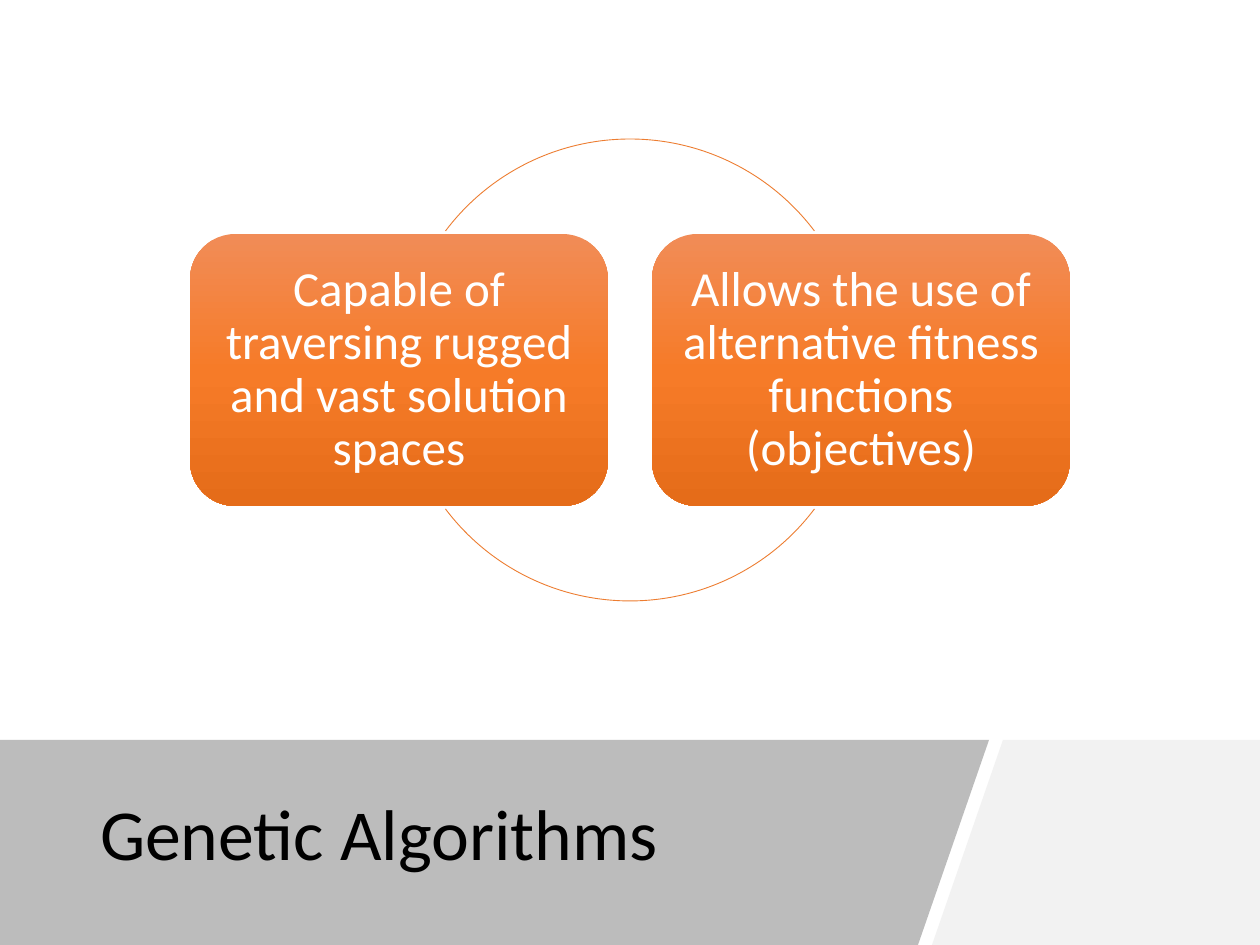
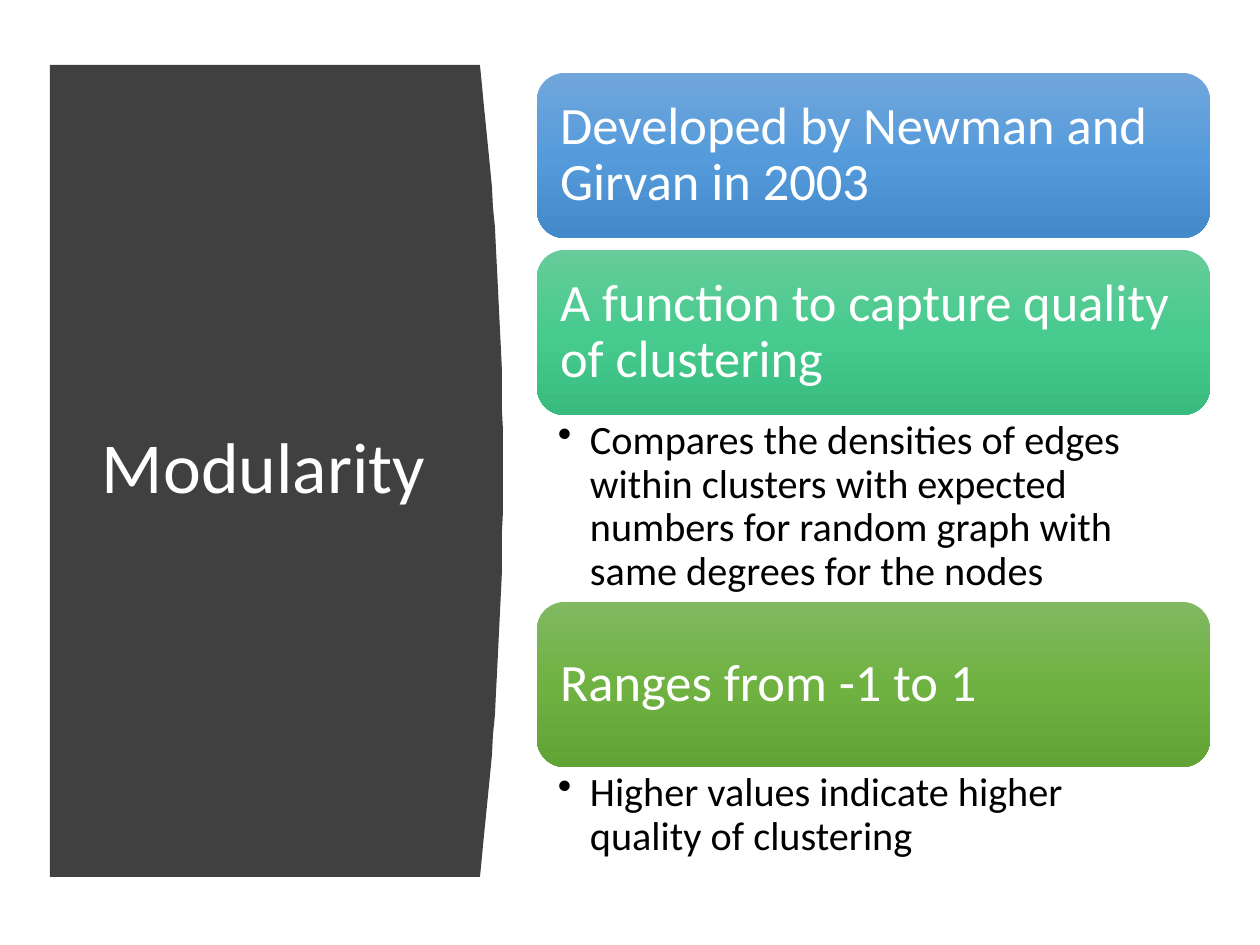
import copy

import lxml.etree
import pptx
import pptx.dml.color
import pptx.enum.shapes
import pptx.enum.text
import pptx.oxml.ns
import pptx.util

PIXEL = 914400 / 126
FONT = "Calibri"
COLORS = {
    "black": "000000",
    "white": "FFFFFF",
    "band": "595959",
    "corner": "F2F2F2",
    "panel": "404040",
    "ring": "ED7D31",
}
GRADIENTS = {
    "orange": ("F18C57", "F67B28", "E56C19"),
    "blue": ("71A6DB", "559BDB", "448ACA"),
    "teal": ("67CC9A", "47CB8E", "39BB7F"),
    "green": ("81B861", "6FB242", "62A336"),
}
ALIGN = pptx.enum.text.PP_ALIGN
ANCHOR = pptx.enum.text.MSO_ANCHOR
SHAPE = pptx.enum.shapes.MSO_SHAPE
qn = pptx.oxml.ns.qn


def emu(pixels):
    return round(pixels * PIXEL)


def rgb(value):
    return pptx.dml.color.RGBColor.from_string(value)


def set_attributes(target, values):
    for name, value in values.items():
        setattr(target, name, value)


def write_text(box, text, size, color, align=ALIGN.LEFT, anchor=ANCHOR.MIDDLE,
               insets=(13, 6, 13, 6)):
    frame = box.text_frame
    left, top, right, bottom = map(emu, insets)
    set_attributes(frame, {
        "word_wrap": True,
        "auto_size": pptx.enum.text.MSO_AUTO_SIZE.NONE,
        "vertical_anchor": anchor,
        "margin_left": left,
        "margin_top": top,
        "margin_right": right,
        "margin_bottom": bottom,
    })
    para = frame.paragraphs[0]
    set_attributes(para, {"alignment": align, "line_spacing": 0.9})
    span = para.add_run()
    span.text = text
    set_attributes(span.font, {"name": FONT, "size": pptx.util.Pt(size)})
    span.font.color.rgb = rgb(COLORS[color])
    return para


def add_page(deck):
    return deck.slides.add_slide(deck.slide_layouts[5])


def place_title(page, text, area, color):
    title = page.shapes.title
    set_attributes(title, dict(zip(("left", "top", "width", "height"), map(emu, area))))
    write_text(title, text, 41, color)
    title.element.getparent().append(title.element)


def add_outline(page, points, color, opacity=None):
    builder = page.shapes.build_freeform(*points[0], scale=PIXEL)
    builder.add_line_segments(points[1:], close=True)
    outline = builder.convert_to_shape()
    outline.shadow.inherit = False
    outline.line.fill.background()
    outline.fill.solid()
    outline.fill.fore_color.rgb = rgb(COLORS[color])
    if opacity is not None:
        fill_color = outline.element.spPr.find(".//" + qn("a:srgbClr"))
        lxml.etree.SubElement(fill_color, qn("a:alpha"), val=str(opacity * 1000))


def add_card(page, text, area, gradient, size, align=ALIGN.LEFT):
    card = page.shapes.add_shape(SHAPE.ROUNDED_RECTANGLE, *map(emu, area))
    card.shadow.inherit = False
    card.line.fill.background()
    card.fill.gradient()
    card.fill.gradient_angle = 270
    stops = card.element.spPr.find(".//" + qn("a:gsLst"))
    stops.insert(1, copy.deepcopy(stops[0]))
    for index, stop in enumerate(card.fill.gradient_stops):
        stop.color.rgb = rgb(GRADIENTS[gradient][index])
        stop.position = index / 2
    write_text(card, text, size, "white", align, insets=(15, 15, 15, 15))


def add_arc(page, area, start, end):
    arc = page.shapes.add_shape(SHAPE.ARC, *map(emu, area))
    arc.shadow.inherit = False
    arc.fill.background()
    arc.line.color.rgb = rgb(COLORS["ring"])
    arc.line.width = pptx.util.Pt(0.5)
    for index, angle in enumerate((start, end)):
        arc.adjustments[index] = angle * 0.6


def add_bullet(page, text, area):
    box = page.shapes.add_textbox(*map(emu, area))
    para = write_text(box, text, 23, "black", anchor=ANCHOR.TOP, insets=(21, 5, 29, 5))
    properties = para._p.get_or_add_pPr()
    properties.set("marL", str(emu(32)))
    properties.set("indent", str(-emu(32)))
    lxml.etree.SubElement(properties, qn("a:buChar"), char="\u2022")


def build_genetic_algorithms(deck):
    page = add_page(deck)
    add_outline(page, [(1003, 740), (1260, 740), (1260, 945), (932, 945)], "corner")
    add_outline(page, [(0, 740), (989, 740), (918, 945), (0, 945)], "band", 40)
    place_title(page, "Genetic Algorithms", (87, 762, 835, 151), "black")
    for start, end in ((217, 323), (37, 143)):
        add_arc(page, (399, 139, 462, 462), start, end)
    texts = (
        "Capable of traversing rugged and vast solution spaces",
        "Allows the use of alternative fitness functions (objectives)",
    )
    for column, text in enumerate(texts):
        add_card(page, text, (190 + column * 462, 234, 418, 272), "orange", 28, ALIGN.CENTER)


def build_modularity(deck):
    page = add_page(deck)
    top, bottom, steps = 65, 877, 40
    curve = []
    for step in range(steps + 1):
        part = step / steps
        curve.append((480 + 23 * 4 * part * (1 - part), top + (bottom - top) * part))
    add_outline(page, [(50, top), *curve, (50, bottom)], "panel")
    place_title(page, "Modularity", (89, 140, 353, 660), "white")

    left, width, card_height, gap = 537, 673, 165, 12
    items = (
        ("Developed by Newman and Girvan in 2003", "blue", None, gap),
        ("A function to capture quality of clustering", "teal",
         "Compares the densities of edges within clusters with expected numbers "
         "for random graph with same degrees for the nodes", 187),
        ("Ranges from -1 to 1", "green",
         "Higher values indicate higher quality of clustering", 101),
    )
    y = 73
    for heading, gradient, detail, space_below in items:
        add_card(page, heading, (left, y, width, card_height), gradient, 30)
        y += card_height
        if detail:
            add_bullet(page, detail, (left, y, width, space_below))
        y += space_below


def main():
    deck = pptx.Presentation()
    set_attributes(deck, {"slide_width": emu(1260), "slide_height": emu(945)})
    build_genetic_algorithms(deck)
    build_modularity(deck)
    deck.save("out.pptx")


main()
